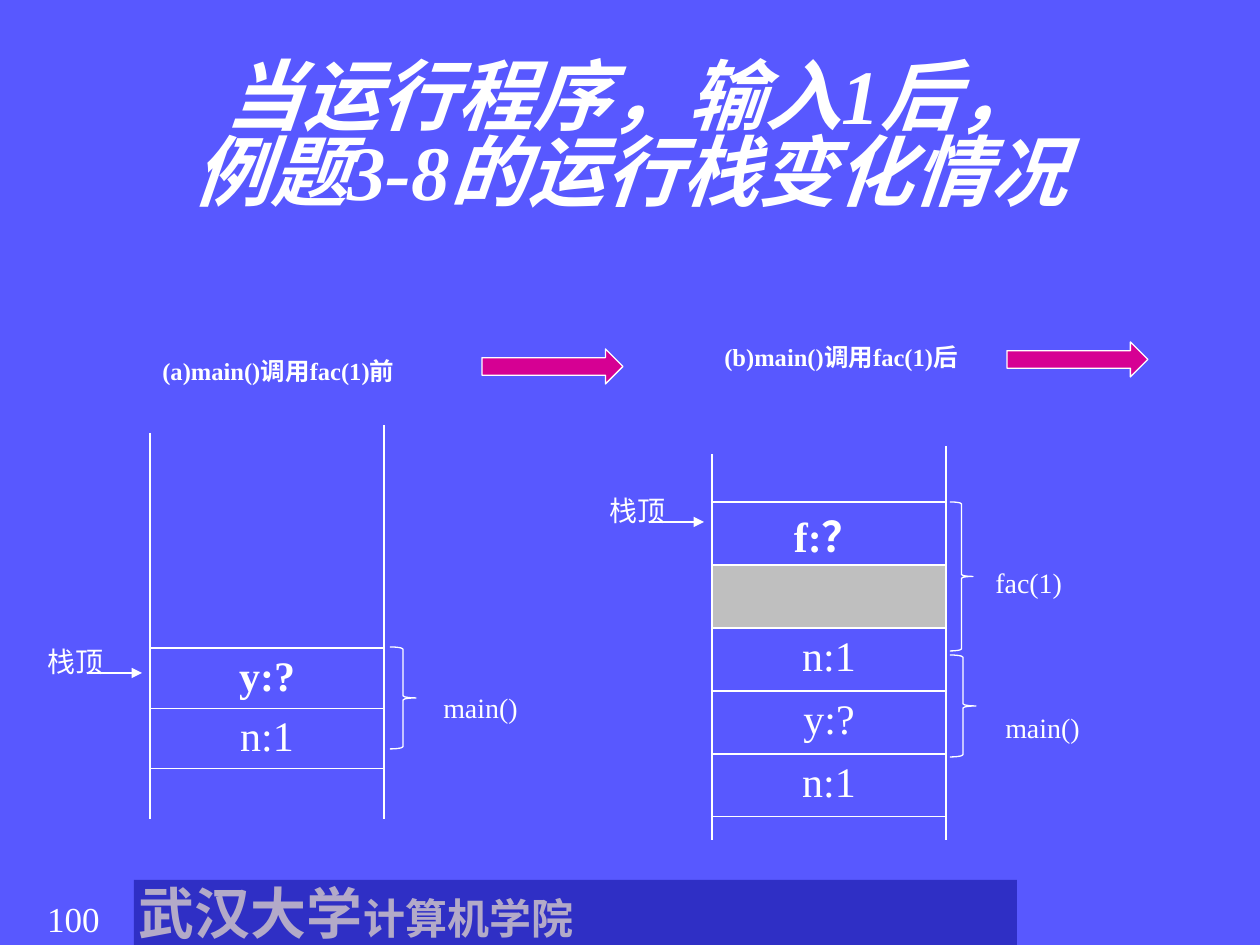
from dataclasses import dataclass

from lxml import etree
from pptx import Presentation
from pptx.dml.color import RGBColor
from pptx.enum.shapes import MSO_CONNECTOR, MSO_SHAPE
from pptx.enum.text import MSO_ANCHOR, MSO_AUTO_SIZE, PP_ALIGN
from pptx.oxml.ns import qn
from pptx.util import Emu, Pt

EMU_PER_PX = 914400 // 126
CENTER, JUSTIFY = PP_ALIGN.CENTER, PP_ALIGN.JUSTIFY
TOP, MIDDLE = MSO_ANCHOR.TOP, MSO_ANCHOR.MIDDLE
GROW, FIXED = MSO_AUTO_SIZE.SHAPE_TO_FIT_TEXT, MSO_AUTO_SIZE.NONE
RECTANGLE, BRACE, ARROW = MSO_SHAPE.RECTANGLE, MSO_SHAPE.RIGHT_BRACE, MSO_SHAPE.RIGHT_ARROW


@dataclass(frozen=True)
class Theme:
    background: str = "5858FF"
    white: str = "FFFFFF"
    bar: str = "2F2FC5"
    bar_text: str = "B3AAC8"
    unused: str = "BFBFBF"
    arrow: str = "D60093"
    latin: str = "Times New Roman"
    chinese: str = "Noto Sans CJK SC"
    title: int = 44
    school: int = 32
    college: int = 24
    cell: int = 24
    number: int = 20
    label: int = 16
    caption: int = 14
    line: float = 0.75
    border: int = 1


THEME = Theme()
STACK_WIDTH = 234


def px(value):
    return Emu(value * EMU_PER_PX)


def box(*values):
    return [px(value) for value in values]


def color(value):
    return RGBColor.from_string(value)


def format_run(run, size, bold=False, italic=False, ink=THEME.white, latin=THEME.latin):
    font = run.font
    font.size, font.bold, font.italic = Pt(size), bold, italic
    font.name = latin
    font.color.rgb = color(ink)
    east_asian = etree.SubElement(run._r.rPr, qn("a:ea"))
    east_asian.set("typeface", THEME.chinese)


def add_text(slide, place, text, size, bold=False):
    shape = slide.shapes.add_textbox(*box(*place))
    frame = shape.text_frame
    frame.word_wrap = True
    frame.text = text
    format_run(frame.paragraphs[0].runs[0], size, bold)
    return frame


def add_label(slide, place, text, size=THEME.label, bold=False):
    frame = add_text(slide, place, text, size, bold)
    frame.vertical_anchor = MIDDLE
    frame.auto_size = GROW
    frame.paragraphs[0].line_spacing = 1.5


def add_shape(slide, kind, place, fill=None, outlined=True):
    shape = slide.shapes.add_shape(kind, *box(*place))
    shape.shadow.inherit = False
    if fill:
        shape.fill.solid()
        shape.fill.fore_color.rgb = color(fill)
    else:
        shape.fill.background()
    if outlined:
        shape.line.color.rgb = color(THEME.white)
        shape.line.width = Pt(THEME.line)
    else:
        shape.line.fill.background()
    return shape


def add_line(slide, start, end, arrowhead=False):
    line = slide.shapes.add_connector(MSO_CONNECTOR.STRAIGHT, *box(*start, *end))
    line.line.color.rgb = color(THEME.white)
    line.line.width = Pt(THEME.line)
    if arrowhead:
        tail = etree.SubElement(line.line._get_or_add_ln(), qn("a:tailEnd"))
        tail.set("type", "triangle")
    etree.SubElement(line._element.spPr, qn("a:effectLst"))


def add_borders(cell):
    properties = cell._tc.get_or_add_tcPr()
    for side in ("lnL", "lnR", "lnT", "lnB"):
        border = etree.SubElement(properties, qn(f"a:{side}"), w=str(Pt(THEME.border)))
        fill = etree.SubElement(border, qn("a:solidFill"))
        etree.SubElement(fill, qn("a:srgbClr"), val=THEME.white)


def add_frames_table(slide, left, top, row_height, values):
    """Draw the stack cells: the top one is bold, an empty one is shaded."""
    count = len(values)
    table = slide.shapes.add_table(
        count, 1, *box(left, top, STACK_WIDTH, row_height * count)).table
    table.first_row = table.horz_banding = False
    for index, value in enumerate(values):
        table.rows[index].height = px(row_height)
        cell = table.cell(index, 0)
        add_borders(cell)
        # The full-width question mark needs a taller line
        cell.margin_top, cell.margin_bottom = box(2, 0) if "？" in value else box(6, 4)
        if not value:
            cell.fill.solid()
            cell.fill.fore_color.rgb = color(THEME.unused)
            continue
        cell.fill.background()
        cell.text = value
        paragraph = cell.text_frame.paragraphs[0]
        paragraph.alignment = CENTER
        format_run(paragraph.runs[0], THEME.cell, bold=index == 0)


def add_stack(slide, left, wall_top, table_top, row_height, values, pointer_top):
    """Draw a stack with its cells, side walls and stack-top pointer."""
    add_frames_table(slide, left, table_top, row_height, values)
    right, bottom = left + STACK_WIDTH, wall_top + 386
    add_line(slide, (left, wall_top), (left, bottom))
    add_line(slide, (right, wall_top - 8), (right, bottom))
    pointer = pointer_top + 49
    add_line(slide, (left - 63, pointer), (left - 8, pointer), arrowhead=True)
    add_label(slide, (left - 115, pointer_top, 141, 57), "栈顶")


def add_title(slide):
    title = slide.shapes.title
    title.left, title.top, title.width, title.height = box(87, 50, 1086, 183)
    frame = title.text_frame
    frame.text = "当运行程序，输入1后，\v例题3-8的运行栈变化情况"
    frame.word_wrap = True
    frame.auto_size = FIXED
    frame.vertical_anchor = TOP
    frame.margin_top = px(13)
    paragraph = frame.paragraphs[0]
    paragraph.alignment = CENTER
    paragraph.line_spacing = 0.83
    for run in paragraph.runs:
        format_run(run, THEME.title, bold=True, italic=True)


def add_footer(slide):
    number = add_text(slide, (21, 891, 105, 54), "100", THEME.number)
    number.paragraphs[0].alignment = CENTER
    bar = add_shape(slide, RECTANGLE, (134, 880, 883, 65), THEME.bar, outlined=False)
    frame = bar.text_frame
    frame.vertical_anchor = MIDDLE
    frame.margin_left = frame.margin_right = px(5)
    frame.margin_top = frame.margin_bottom = 0
    paragraph = frame.paragraphs[0]
    paragraph.alignment = JUSTIFY
    for text, size in (("武汉大学", THEME.school), ("计算机学院", THEME.college)):
        run = paragraph.add_run()
        run.text = text
        format_run(run, size, bold=True, ink=THEME.bar_text, latin=THEME.chinese)


def main():
    presentation = Presentation()
    presentation.slide_width, presentation.slide_height = box(1260, 945)
    slide = presentation.slides.add_slide(presentation.slide_layouts[5])
    slide.background.fill.solid()
    slide.background.fill.fore_color.rgb = color(THEME.background)

    add_footer(slide)
    add_title(slide)
    add_stack(slide, 150, 433, 648, 59, ["y:?", "n:1"], 624)
    add_stack(slide, 712, 454, 502, 63, ["f:？", "", "n:1", "y:?", "n:1"], 473)

    for left, top, text in ((150, 335, "(a)main()调用fac(1)前"),
                            (712, 321, "(b)main()调用fac(1)后")):
        add_label(slide, (left, top, 314, 57), text, THEME.caption, bold=True)
    for left, top, text in ((431, 670, "main()"), (983, 545, "fac(1)"),
                            (993, 690, "main()")):
        add_label(slide, (left, top, 141, 57), text)
    for place in ((390, 647, 26, 102), (950, 502, 23, 149), (950, 655, 26, 102)):
        add_shape(slide, BRACE, place)
    for left, top in ((482, 349), (1007, 342)):
        add_shape(slide, ARROW, (left, top, 141, 35), THEME.arrow)

    presentation.save("out.pptx")


if __name__ == "__main__":
    main()
